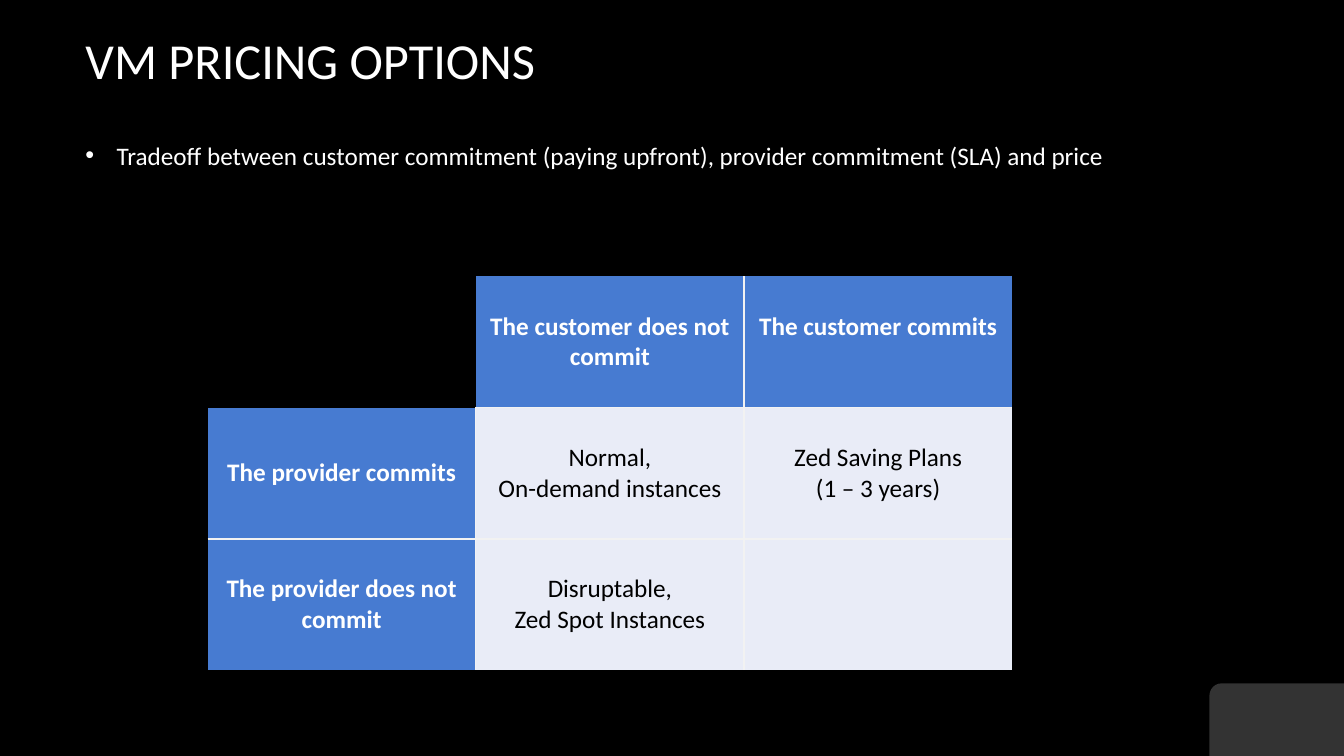
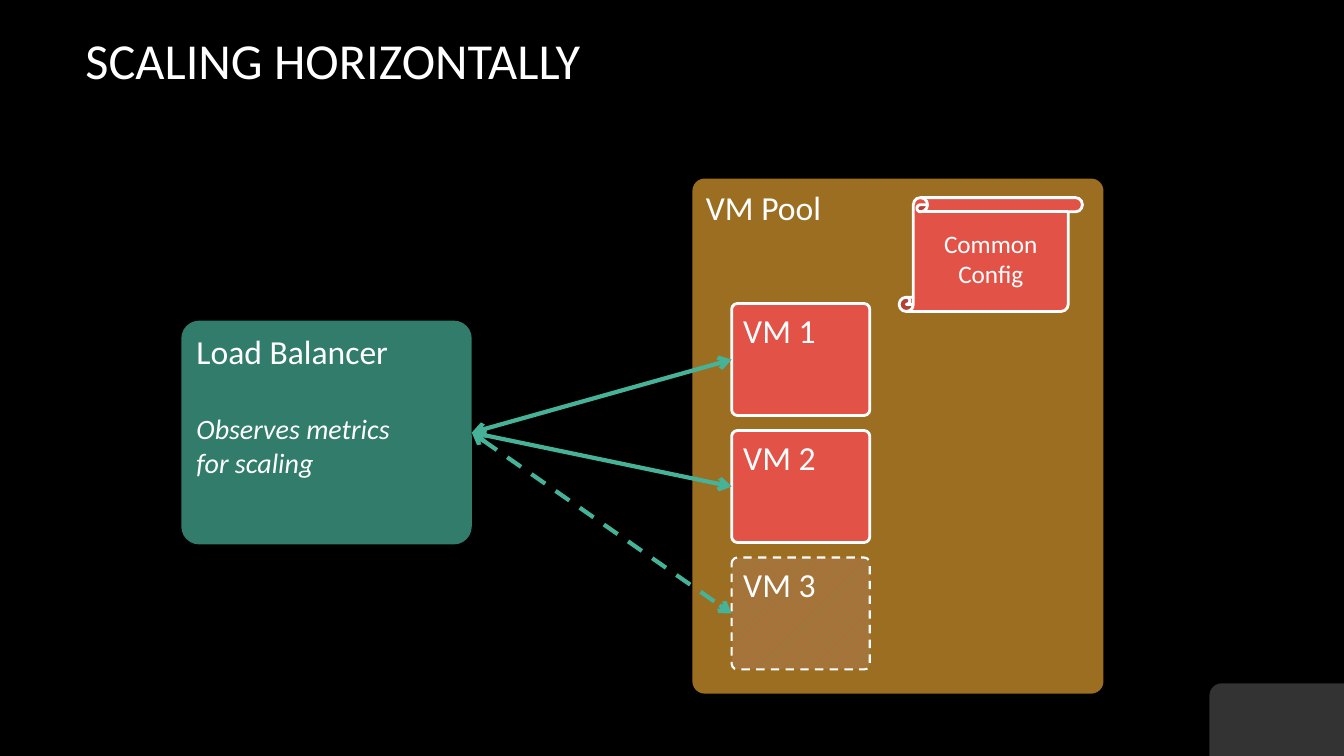
from lxml import etree
from pptx import Presentation
from pptx import util as u
from pptx.dml.color import RGBColor
from pptx.enum import dml, shapes, text
from pptx.oxml import ns

FONT = "Calibri"
COLORS = {
    "background": "000000",
    "white": "FFFFFF",
    "black": "000000",
    "header": "477BD1",
    "cell": "E9ECF7",
    "border": "F2F2F2",
    "green": "46B298",
    "ochre": "DD9D31",
    "red": "E25247",
    "brown": "9E7739",
}
PRICING = [
    ["", "The customer does not commit", "The customer commits"],
    ["The provider commits", "Normal,\nOn-demand instances", "Zed Saving Plans\n(1 – 3 years)"],
    ["The provider does not commit", "Disruptable,\nZed Spot Instances", ""],
]


def rgb(name):
    """Return the named colour."""
    return RGBColor.from_string(COLORS[name])


def area(left, top, width, height):
    """Return a rectangle given in centimetres as lengths."""
    return [u.Cm(value) for value in (left, top, width, height)]


def add_xml(parent, tag, **attributes):
    """Append a DrawingML element and return it."""
    return etree.SubElement(parent, ns.qn(f"a:{tag}"), **attributes)


def format_para(para, size, color="white", bold=False, italic=False, align="LEFT"):
    """Align a paragraph and format its runs."""
    para.alignment = getattr(text.PP_ALIGN, align)
    for span in para.runs:
        font = span.font
        font.name, font.size = FONT, u.Pt(size)
        font.bold, font.italic = bold, italic
        font.color.rgb = rgb(color)


def set_text(frame, content, size, anchor="TOP", **style):
    """Fill a text frame with text in one style."""
    frame.text = content
    frame.word_wrap = True
    frame.vertical_anchor = getattr(text.MSO_ANCHOR, anchor)
    for para in frame.paragraphs:
        format_para(para, size, **style)


def add_box(page, kind, place, fill, alpha=100, corner=None, outline=0):
    """Add a filled preset shape with an optional white outline."""
    box = page.shapes.add_shape(getattr(shapes.MSO_SHAPE, kind), *area(*place))
    box.shadow.inherit = False
    box.fill.solid()
    box.fill.fore_color.rgb = rgb(fill)
    if alpha < 100:
        color = box._element.spPr.find(".//" + ns.qn("a:srgbClr"))
        add_xml(color, "alpha", val=str(alpha * 1000))
    if corner is not None:
        box.adjustments[0] = corner
    if outline:
        box.line.color.rgb = rgb("white")
        box.line.width = u.Pt(outline)
    else:
        box.line.fill.background()
    return box


def add_page(deck, title):
    """Add a titled slide with the corner tab."""
    page = deck.slides.add_slide(deck.slide_layouts[5])
    heading = page.shapes.title
    heading.left, heading.top, heading.width, heading.height = area(1.9, 0, 28.15, 2.97)
    set_text(heading.text_frame, title, 36, anchor="MIDDLE")
    tab = add_box(page, "ROUND_1_RECTANGLE", (30.48, 17.22, 3.39, 1.83), "white", alpha=20)
    tab._element.spPr.xfrm.set("flipH", "1")
    return page


def add_bullet(page, content):
    """Add the bulleted line below the title."""
    box = page.shapes.add_textbox(*area(1.9, 2.97, 28.15, 1.88))
    set_text(box.text_frame, content, 18, anchor="MIDDLE")
    props = box.text_frame.paragraphs[0]._p.get_or_add_pPr()
    indent = u.Cm(0.79)
    props.set("marL", str(indent))
    props.set("indent", str(-indent))
    add_xml(props, "buFont", typeface="Arial")
    add_xml(props, "buChar", char="•")


def set_borders(cell, row, col, size):
    """Draw borders only between two filled cells."""
    neighbours = {"L": (row, col - 1), "R": (row, col + 1), "T": (row - 1, col), "B": (row + 1, col)}
    for side, (r, c) in neighbours.items():
        line = add_xml(cell._tc.get_or_add_tcPr(), f"ln{side}", w=str(u.Pt(1)))
        inside = 0 <= r < size and 0 <= c < size
        if inside and (0, 0) not in ((r, c), (row, col)):
            add_xml(add_xml(line, "solidFill"), "srgbClr", val=COLORS["border"])
        else:
            add_xml(line, "noFill")


def add_matrix(page, rows):
    """Add a square table with header row, header column and open corner."""
    size = len(rows)
    table = page.shapes.add_table(size, size, *area(5.23, 6.96, 6.76 * size, 3.31 * size)).table
    table.first_row = table.horz_banding = False
    for r, row in enumerate(rows):
        for c, content in enumerate(row):
            cell = table.cell(r, c)
            header = r == 0 or c == 0
            set_borders(cell, r, c, size)
            if r == c == 0:
                cell.fill.background()
                continue
            cell.fill.solid()
            cell.fill.fore_color.rgb = rgb("header" if header else "cell")
            cell.vertical_anchor = text.MSO_ANCHOR.MIDDLE
            cell.text_frame.text = content
            for para in cell.text_frame.paragraphs:
                format_para(para, 18, "white" if header else "black", bold=header, align="CENTER")
    table.cell(0, size - 1).margin_bottom = u.Cm(0.9)


def add_vm(page, number, planned):
    """Add a virtual machine, hatched and dashed if only planned."""
    place = (18.44, 7.65 + 3.2 * (number - 1), 3.48, 2.82)
    box = add_box(page, "ROUNDED_RECTANGLE", place, "red", corner=0.05, outline=1.5 if planned else 2)
    if planned:
        box.fill.patterned()
        box.fill.pattern = dml.MSO_PATTERN.WIDE_UPWARD_DIAGONAL
        box.fill.fore_color.rgb = rgb("red")
        box.fill.back_color.rgb = rgb("brown")
        box.line.dash_style = dml.MSO_LINE.DASH
    set_text(box.text_frame, f"VM {number}", 24)
    return box


def link(page, source, target, dashed):
    """Join the right side of one box to the left side of another."""
    arrow = page.shapes.add_connector(shapes.MSO_CONNECTOR.STRAIGHT, 0, 0, 0, 0)
    arrow.begin_connect(source, 3)
    arrow.end_connect(target, 1)
    arrow.line.color.rgb = rgb("green")
    arrow.line.width = u.Pt(3)
    if dashed:
        arrow.line.dash_style = dml.MSO_LINE.DASH
    for end in ("headEnd", "tailEnd"):
        add_xml(arrow.line._get_or_add_ln(), end, type="arrow")
    add_xml(arrow._element.spPr, "effectLst")


def build_pricing(deck):
    """Build the pricing slide."""
    page = add_page(deck, "VM PRICING OPTIONS")
    add_bullet(page, "Tradeoff between customer commitment (paying upfront), "
                     "provider commitment (SLA) and price")
    add_matrix(page, PRICING)


def build_scaling(deck):
    """Build the scaling slide."""
    page = add_page(deck, "SCALING HORIZONTALLY")
    balancer = add_box(page, "ROUNDED_RECTANGLE", (4.57, 8.08, 7.32, 5.64), "green", alpha=70, corner=0.08)
    set_text(balancer.text_frame, "Load Balancer", 24)
    remark = balancer.text_frame.add_paragraph()
    remark.text = "Observes metrics\vfor scaling"
    remark.space_before = u.Pt(29)
    format_para(remark, 20, italic=True)

    pool = add_box(page, "ROUNDED_RECTANGLE", (17.45, 4.5, 10.36, 12.98), "ochre", alpha=70, corner=0.03)
    set_text(pool.text_frame, "VM Pool", 24)
    config = add_box(page, "VERTICAL_SCROLL", (22.66, 4.98, 4.62, 2.87), "red", outline=2)
    set_text(config.text_frame, "Common Config", 18, anchor="MIDDLE", align="CENTER")

    machines = [(add_vm(page, number, number == 3), number == 3) for number in (1, 2, 3)]
    for machine, planned in machines:
        link(page, balancer, machine, planned)


def main():
    """Build and save the deck."""
    deck = Presentation()
    deck.slide_width, deck.slide_height = u.Cm(33.87), u.Cm(19.05)
    backdrop = deck.slide_master.background.fill
    backdrop.solid()
    backdrop.fore_color.rgb = rgb("background")
    build_pricing(deck)
    build_scaling(deck)
    deck.save("out.pptx")


if __name__ == "__main__":
    main()
